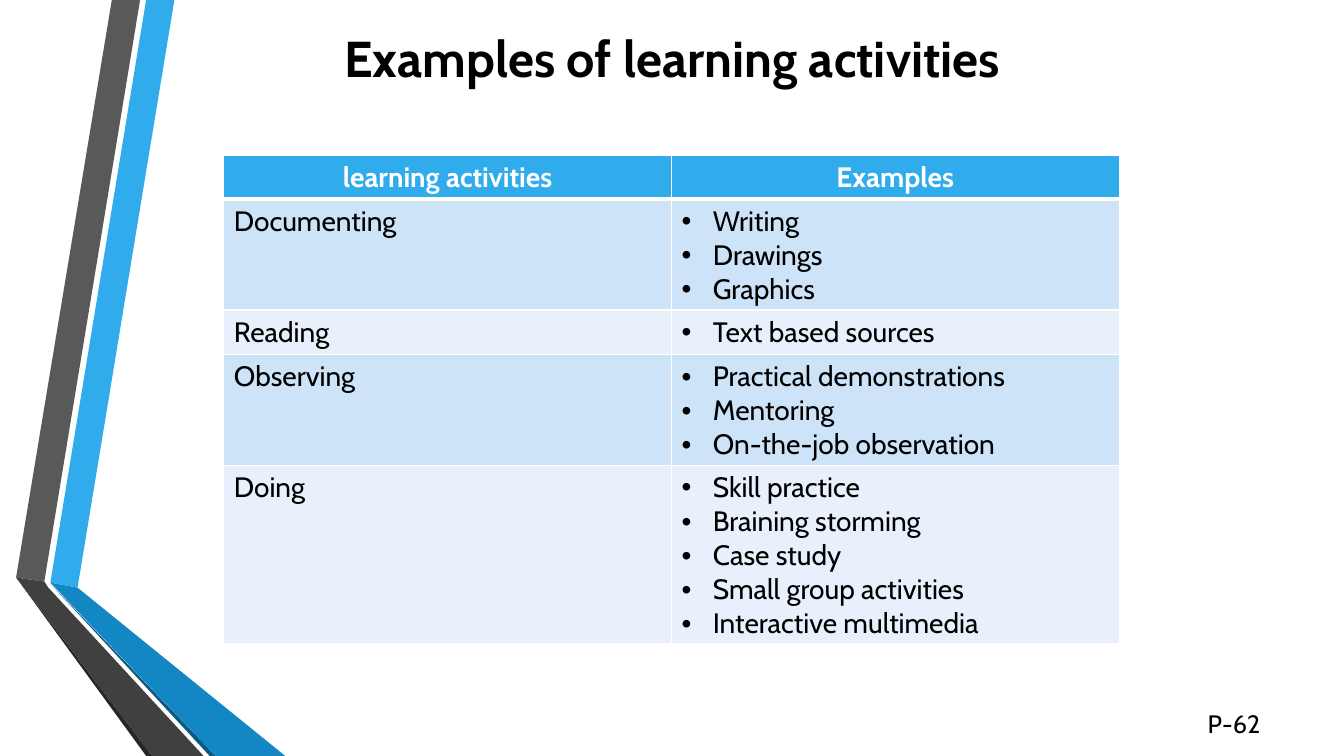
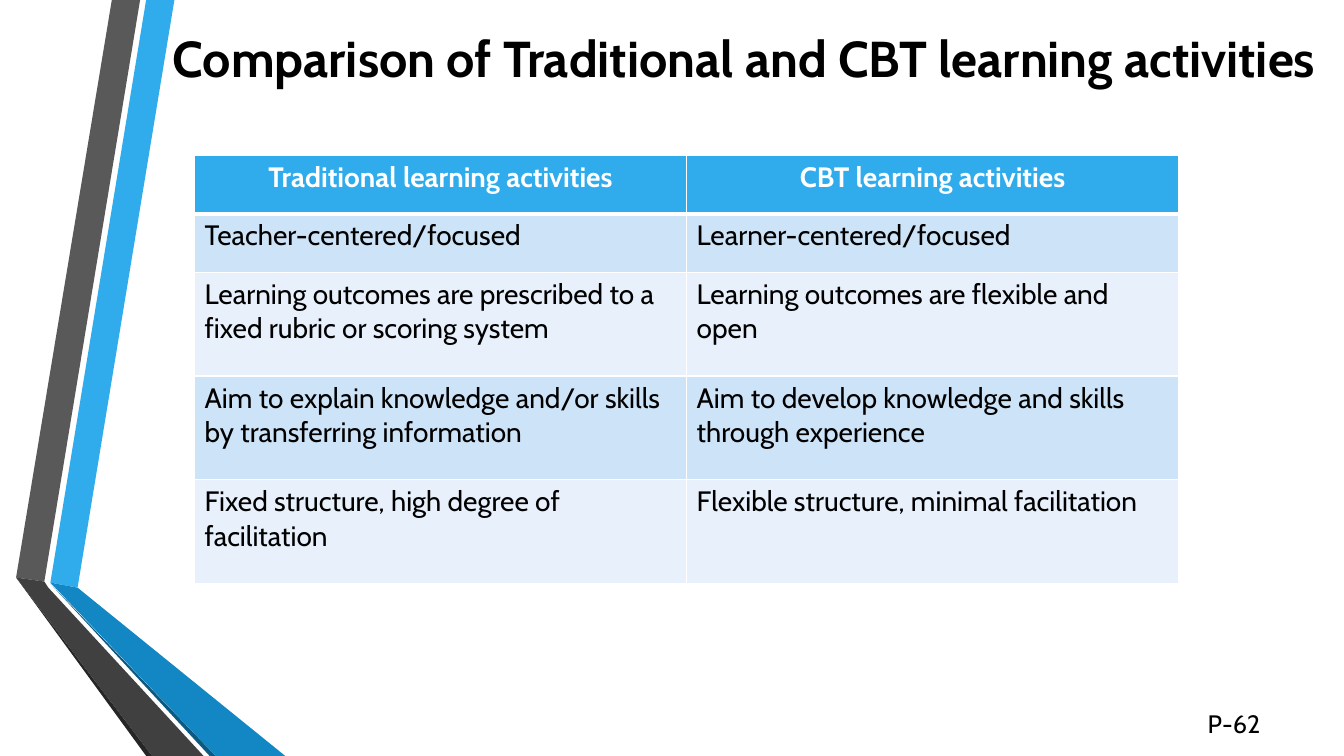
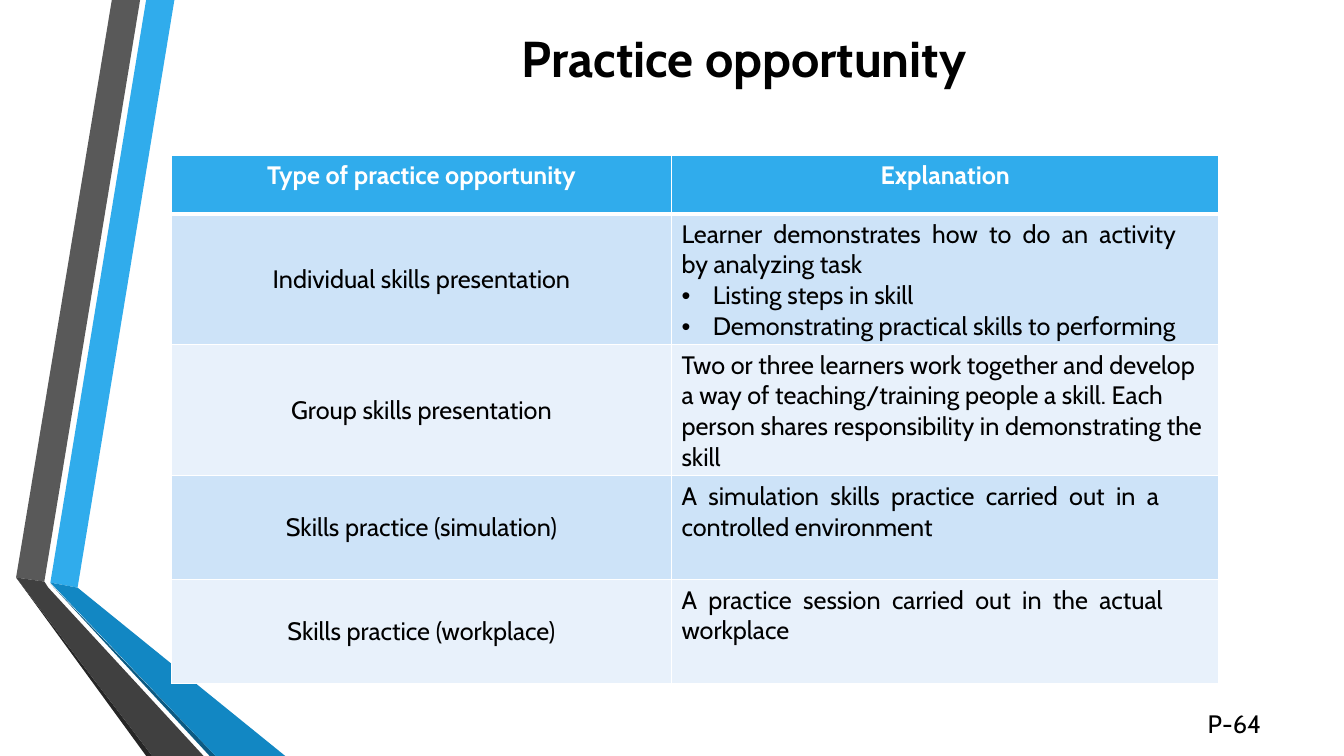
from lxml.etree import SubElement
from pptx import Presentation
from pptx.dml.color import RGBColor
from pptx.enum.text import MSO_ANCHOR, PP_ALIGN
from pptx.oxml import parse_xml
from pptx.oxml.ns import nsdecls, qn
from pptx.util import Inches, Pt

FONT = "Cabin"
BLACK = RGBColor(0x00, 0x00, 0x00)
WHITE = RGBColor(0xFF, 0xFF, 0xFF)
BLUE = RGBColor(0x30, 0xAC, 0xEC)
DEEP = RGBColor(0x12, 0x87, 0xC3)
NAVY = RGBColor(0x0C, 0x5A, 0x82)
GRAY = RGBColor(0x59, 0x59, 0x59)
DARK = RGBColor(0x40, 0x40, 0x40)
INK = RGBColor(0x26, 0x26, 0x26)
BANDS = [RGBColor(0xCD, 0xE3, 0xF8), RGBColor(0xE8, 0xF1, 0xFB)]

# Folded ribbons on the left: colour and outline, back to front
RIBBONS = [
    (BLUE, [(0.5, 5.78), (0.77, 5.83), (1.73, 0), (1.45, 0)]),
    (GRAY, [(1.39, 0), (1.11, 0), (0.16, 5.73), (0.44, 5.77)]),
    (INK, [(0.16, 5.73), (1.45, 7.5), (1.51, 7.5)]),
    (NAVY, [(0.5, 5.79), (2.08, 7.5), (2.14, 7.5)]),
    (DEEP, [(0.5, 5.78), (2.14, 7.5), (2.83, 7.5), (0.77, 5.83)]),
    (DARK, [(2.02, 7.5), (0.48, 5.83), (0.44, 5.77), (0.16, 5.73), (1.51, 7.5)]),
]

# Lines that open with this mark become bulleted paragraphs
MARK = "• "
TABLE_TOP = 1.54

SLIDES = [
    dict(
        title="Examples of learning activities", span=(0.89, 11.55), page="P-62",
        left=2.22, cols=[4.44, 4.44], heights=[0.43, 1.1, 0.44, 1.1, 1.76],
        size=20, centred=False,
        rows=[
            ("learning activities", "Examples"),
            ("Documenting", ["• Writing", "• Drawings", "• Graphics"]),
            ("Reading", ["• Text based sources"]),
            ("Observing", ["• Practical demonstrations", "• Mentoring",
                           "• On-the-job observation"]),
            ("Doing", ["• Skill practice", "• Braining storming", "• Case study",
                       "• Small group activities", "• Interactive multimedia"]),
        ],
    ),
    dict(
        title="Comparison of Traditional and CBT learning activities",
        span=(1.43, 11.9), page="P-62",
        left=1.93, cols=[4.88, 4.88], heights=[0.58, 0.58, 1.03, 1.03, 1.03],
        size=20, centred=False,
        rows=[
            ("Traditional learning activities", "CBT learning activities"),
            ("Teacher-centered/focused", "Learner-centered/focused"),
            ("Learning outcomes are prescribed to a fixed rubric or scoring system",
             "Learning outcomes are flexible and open"),
            ("Aim to explain knowledge and/or skills by transferring information",
             "Aim to develop knowledge and skills through experience"),
            ("Fixed structure, high degree of facilitation",
             "Flexible structure, minimal facilitation"),
        ],
    ),
    dict(
        title="Practice opportunity", span=(1.43, 11.9), page="P-64",
        left=1.7, cols=[4.96, 5.43], heights=[0.58, 1.3, 1.3, 1.03, 1.03],
        size=18, centred=True,
        rows=[
            ("Type of practice opportunity", "Explanation"),
            ("Individual skills presentation",
             ["Learner  demonstrates  how  to  do  an  activity  by analyzing task",
              "• Listing steps in skill",
              "• Demonstrating practical skills to performing"]),
            ("Group skills presentation",
             "Two or three learners work together and develop a way of "
             "teaching/training people a skill. Each person shares "
             "responsibility in demonstrating the skill"),
            ("Skills practice (simulation)",
             "A  simulation  skills  practice  carried  out  in  a "
             "controlled environment"),
            ("Skills practice (workplace)",
             "A  practice  session  carried  out  in  the  actual workplace"),
        ],
    ),
]


def style(para, size, color=BLACK, bold=False, align=PP_ALIGN.LEFT):
    para.alignment = align
    font = para.font
    font.name, font.size, font.bold = FONT, Pt(size), bold
    font.color.rgb = color


def bullet(para):
    props = para._p.get_or_add_pPr()
    props.set("marL", str(Inches(0.31)))
    props.set("indent", str(-Inches(0.31)))
    props.insert(0, parse_xml(f'<a:buFont {nsdecls("a")} typeface="Arial"/>'))
    props.insert(1, parse_xml(f'<a:buChar {nsdecls("a")} char="•"/>'))


def border(cell, widths):
    props = cell._tc.get_or_add_tcPr()
    for side, width in zip("LRTB", widths):
        line = SubElement(props, qn(f"a:ln{side}"), w=str(Pt(width)))
        fill = SubElement(line, qn("a:solidFill"))
        SubElement(fill, qn("a:srgbClr"), val=str(WHITE))


def add_label(slide, text, box, size, **look):
    frame = slide.shapes.add_textbox(*map(Inches, box)).text_frame
    frame.word_wrap = True
    para = frame.paragraphs[0]
    para.text = text
    style(para, size, **look)
    return frame


def add_frame(slide, item):
    # Ribbons, title and page mark
    for color, points in RIBBONS:
        (x, y), *rest = [(Inches(x), Inches(y)) for x, y in points]
        pen = slide.shapes.build_freeform(x, y)
        pen.add_line_segments(rest, close=True)
        shape = pen.convert_to_shape()
        shape.shadow.inherit = False
        shape.fill.solid()
        shape.fill.fore_color.rgb = color
        shape.line.fill.background()
    left, width = item["span"]
    title = add_label(slide, item["title"], (left, 0.26, width, 0.61), 36,
                      bold=True, align=PP_ALIGN.CENTER)
    title.vertical_anchor = MSO_ANCHOR.MIDDLE
    add_label(slide, item["page"], (11.88, 6.98, 1.13, 0.4), 18)


def fill_cell(cell, text, row, size, centred):
    head = row == 0
    border(cell, (1, 1, 3 if row == 1 else 1, 3 if head else 1))
    cell.fill.solid()
    cell.fill.fore_color.rgb = BLUE if head else BANDS[(row - 1) % 2]
    if centred and not head:
        cell.vertical_anchor = MSO_ANCHOR.MIDDLE
    lines = [text] if isinstance(text, str) else text
    frame = cell.text_frame
    for n, line in enumerate(lines):
        para = frame.add_paragraph() if n else frame.paragraphs[0]
        para.text = line.removeprefix(MARK)
        style(para, size, WHITE if head else BLACK, head,
              PP_ALIGN.CENTER if head or centred else PP_ALIGN.LEFT)
        if line.startswith(MARK):
            bullet(para)


def add_grid(slide, item):
    rows, cols, heights = item["rows"], item["cols"], item["heights"]
    box = (item["left"], TABLE_TOP, sum(cols), sum(heights))
    table = slide.shapes.add_table(len(rows), len(cols), *map(Inches, box)).table
    for col, width in zip(table.columns, cols):
        col.width = Inches(width)
    for r, (texts, height) in enumerate(zip(rows, heights)):
        table.rows[r].height = Inches(height)
        for c, text in enumerate(texts):
            fill_cell(table.cell(r, c), text, r, item["size"],
                      item["centred"] and c == 0)


def main():
    deck = Presentation()
    deck.slide_width, deck.slide_height = Inches(13.33), Inches(7.5)
    for item in SLIDES:
        slide = deck.slides.add_slide(deck.slide_layouts[6])
        add_frame(slide, item)
        add_grid(slide, item)
    deck.save("out.pptx")


if __name__ == "__main__":
    main()
